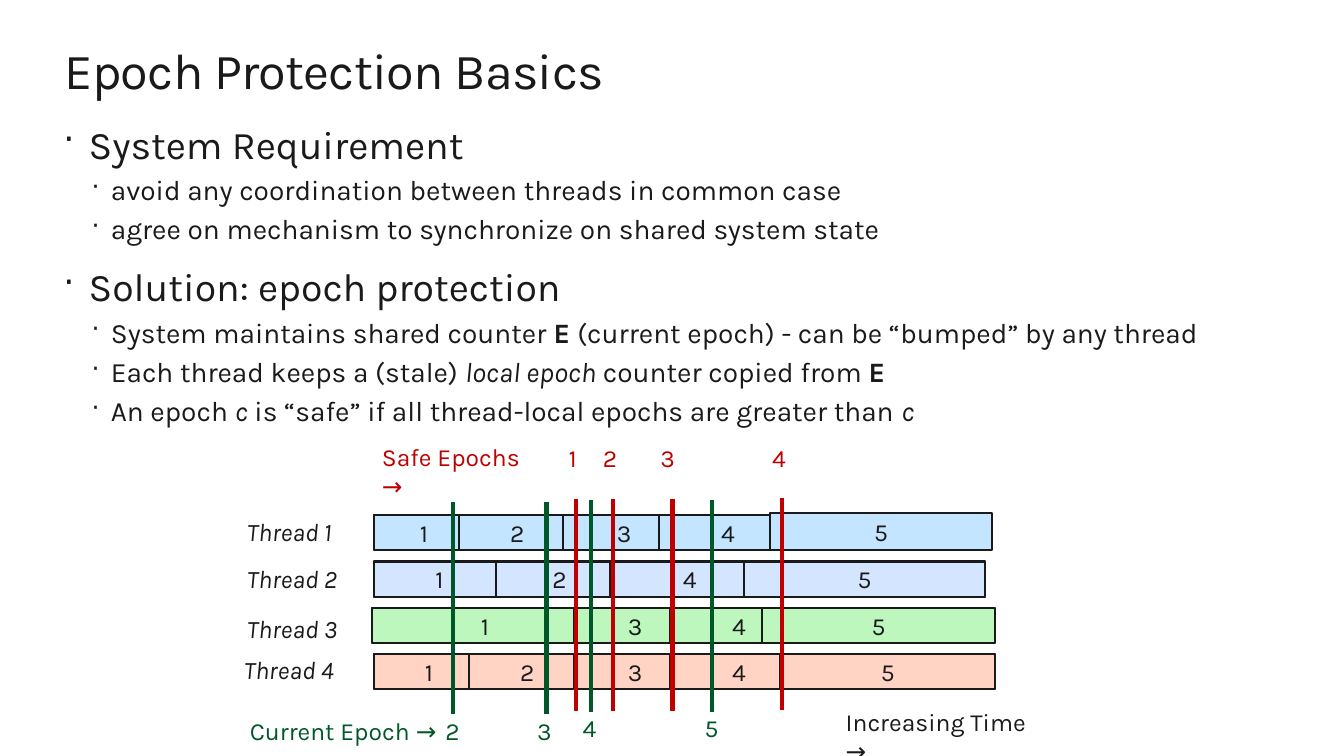
from pptx import Presentation
from pptx.dml.color import RGBColor
from pptx.enum.shapes import MSO_CONNECTOR as Connector, MSO_SHAPE as Shape
from pptx.enum.text import MSO_ANCHOR as Anchor, PP_ALIGN as Align
from pptx.oxml.ns import qn
from pptx.util import Inches, Pt
from lxml.etree import SubElement

INK = RGBColor(0x1A, 0x1A, 0x1A)
GREEN = RGBColor(0x00, 0x58, 0x29)
RED = RGBColor(0xC0, 0x00, 0x00)
SKY = RGBColor(0xC3, 0xE5, 0xFF)
LAVENDER = RGBColor(0xD4, 0xE5, 0xFF)
MINT = RGBColor(0xBD, 0xF7, 0xBD)
PEACH = RGBColor(0xFF, 0xD4, 0xC4)

FONT = "Karla"
ROW_PITCH = 0.46
ROW_HEIGHT = 0.35
MARKER_LENGTH = 2.1

BULLETS = [
    (0, [("System Requirement", "")]),
    (1, [("avoid any coordination between threads in common case", "")]),
    (1, [("agree on mechanism to synchronize on shared system state", "")]),
    (0, [("Solution: epoch protection", "")]),
    (1, [("System maintains shared counter ", ""), ("E ", "b"),
         ("(current epoch) - can be “bumped” by any thread", "")]),
    (1, [("Each thread keeps a (stale) ", ""), ("local epoch", "i"),
         (" counter copied from ", ""), ("E", "b")]),
    (1, [("An epoch ", ""), ("c", "i"),
         (" is “safe” if all thread-local epochs are greater than ", ""), ("c", "i")]),
]
BULLET_LEVELS = [
    {"size": 28, "before": 12.2, "indent": 0.25, "hanging": 0.25},
    {"size": 20, "before": 4, "indent": 0.47, "hanging": 0.19},
]

# name, label offset (x, y), fill, bar (x, width), epochs (number, x, width)
THREADS = [
    ("Thread 1", (-1.26, 0.01), SKY, (0, 6.1),
     [("1", 0, 0.99), ("2", 0.84, 1.16), ("3", 1.87, 1.22), ("4", 2.83, 1.36), ("5", 3.93, 2.2)]),
    ("Thread 2", (-1.26, 0.02), LAVENDER, (0, 6.06),
     [("1", 0, 1.3), ("2", 1.21, 1.26), ("4", 2.34, 1.58), ("5", 3.67, 2.39)]),
    ("Thread 3", (-1.26, 0.05), MINT, (-0.02, 6.18),
     [("1", -0.02, 2.24), ("3", 1.98, 1.22), ("4", 2.94, 1.36), ("5", 3.85, 2.31)]),
    ("Thread 4", (-1.29, 0), PEACH, (0, 6.16),
     [("1", 0, 1.09), ("2", 0.94, 1.16), ("3", 1.98, 1.22), ("4", 2.94, 1.36), ("5", 4.03, 2.13)]),
]
# number, line (x, y), label (x, y)
CURRENT_EPOCHS = [
    ("2", (0.78, -0.13), (0.61, 1.94)),
    ("3", (1.71, -0.13), (1.52, 1.94)),
    ("4", (2.15, -0.15), (1.97, 1.91)),
    ("5", (3.35, -0.15), (3.18, 1.91)),
]
SAFE_EPOCHS = [
    ("1", (2.0, -0.16), (1.83, -0.77)),
    ("2", (2.37, -0.16), (2.17, -0.77)),
    ("3", (2.96, -0.16), (2.74, -0.77)),
    ("4", (4.05, -0.17), (3.85, -0.77)),
]


def add_run(paragraph, text, *, size=17.6, color=INK, bold=False, italic=False, spacing=None):
    run = paragraph.add_run()
    run.text = text
    run.font.name = FONT
    run.font.size = Pt(size)
    run.font.color.rgb = color
    run.font.bold = bold
    run.font.italic = italic
    if spacing is not None:
        run.font._element.set("spc", str(int(spacing * 100)))


def add_frame(slide, left, top, width, height, inset=True):
    box = slide.shapes.add_textbox(Inches(left), Inches(top), Inches(width), Inches(height))
    frame = box.text_frame
    frame.word_wrap = True
    if not inset:
        frame.margin_left = frame.margin_right = frame.margin_top = frame.margin_bottom = 0
    return frame


def add_label(slide, text, left, top, width, height=0.4, inset=True, **text_format):
    frame = add_frame(slide, left, top, width, height, inset)
    add_run(frame.paragraphs[0], text, **text_format)


def set_bullet(paragraph, indent, hanging):
    properties = paragraph._p.get_or_add_pPr()
    properties.set("marL", str(Inches(indent)))
    properties.set("indent", str(-Inches(hanging)))
    color = SubElement(properties, qn("a:buClr"))
    SubElement(color, qn("a:srgbClr"), val=str(INK))
    SubElement(properties, qn("a:buSzPct"), val="90000")
    SubElement(properties, qn("a:buChar"), char="·")


def draw_bullets(slide, left, top, width, height):
    frame = add_frame(slide, left, top, width, height, inset=False)
    for index, (level, runs) in enumerate(BULLETS):
        paragraph = frame.paragraphs[0] if index == 0 else frame.add_paragraph()
        style = BULLET_LEVELS[level]
        paragraph.level = level
        paragraph.space_before = Pt(style["before"])
        set_bullet(paragraph, style["indent"], style["hanging"])
        for text, emphasis in runs:
            add_run(paragraph, text, size=style["size"],
                    bold=emphasis == "b", italic=emphasis == "i")


def add_bar(slide, left, top, width, height, fill, number=None):
    shape = slide.shapes.add_shape(
        Shape.RECTANGLE, Inches(left), Inches(top), Inches(width), Inches(height))
    shape.shadow.inherit = False
    shape.fill.solid()
    shape.fill.fore_color.rgb = fill
    shape.line.color.rgb = INK
    shape.line.width = Pt(1.5)
    if number:
        shape.text_frame.vertical_anchor = Anchor.MIDDLE
        paragraph = shape.text_frame.paragraphs[0]
        paragraph.alignment = Align.CENTER
        add_run(paragraph, number)


def draw_threads(slide, left, top):
    for row, (name, (label_x, label_y), fill, (bar_x, bar_width), epochs) in enumerate(THREADS):
        row_top = top + row * ROW_PITCH
        add_bar(slide, left + bar_x, row_top, bar_width, ROW_HEIGHT, fill)
        for number, x, width in epochs:
            raised = 0.02 if row == 0 and number == "5" else 0
            add_bar(slide, left + x, row_top - raised, width, ROW_HEIGHT + raised, fill, number)
        add_label(slide, name, left + label_x, row_top + label_y, 0.97, 0.3,
                  inset=False, size=18, italic=True)


def draw_markers(slide, left, top, markers, color):
    for number, (line_x, line_y), (label_x, label_y) in markers:
        x, y = Inches(left + line_x), top + line_y
        line = slide.shapes.add_connector(
            Connector.STRAIGHT, x, Inches(y), x, Inches(y + MARKER_LENGTH))
        line.line.color.rgb = color
        line.line.width = Pt(3)
        SubElement(line._element.spPr, qn("a:effectLst"))
        add_label(slide, number, left + label_x, top + label_y, 0.35, color=color)


def draw_timeline(slide, left, top):
    draw_threads(slide, left, top)
    draw_markers(slide, left, top, CURRENT_EPOCHS, GREEN)
    draw_markers(slide, left, top, SAFE_EPOCHS, RED)
    add_label(slide, "Increasing Time →", left + 4.58, top + 1.85, 2.2)
    add_label(slide, "Current Epoch →", left - 1.33, top + 1.94, 2.07, color=GREEN)
    add_label(slide, "Safe Epochs →", left - 0.02, top - 0.78, 1.82, color=RED)


def main():
    presentation = Presentation()
    presentation.slide_width = Inches(13.33)
    presentation.slide_height = Inches(7.5)
    slide = presentation.slides.add_slide(presentation.slide_layouts[6])
    add_label(slide, "Epoch Protection Basics", 0.64, 0.39, 12.05, 0.61,
              inset=False, size=36, spacing=-0.5)
    draw_bullets(slide, 0.63, 1.19, 11.9, 3.13)
    draw_timeline(slide, 3.71, 5.11)
    presentation.save("out.pptx")


if __name__ == "__main__":
    main()
